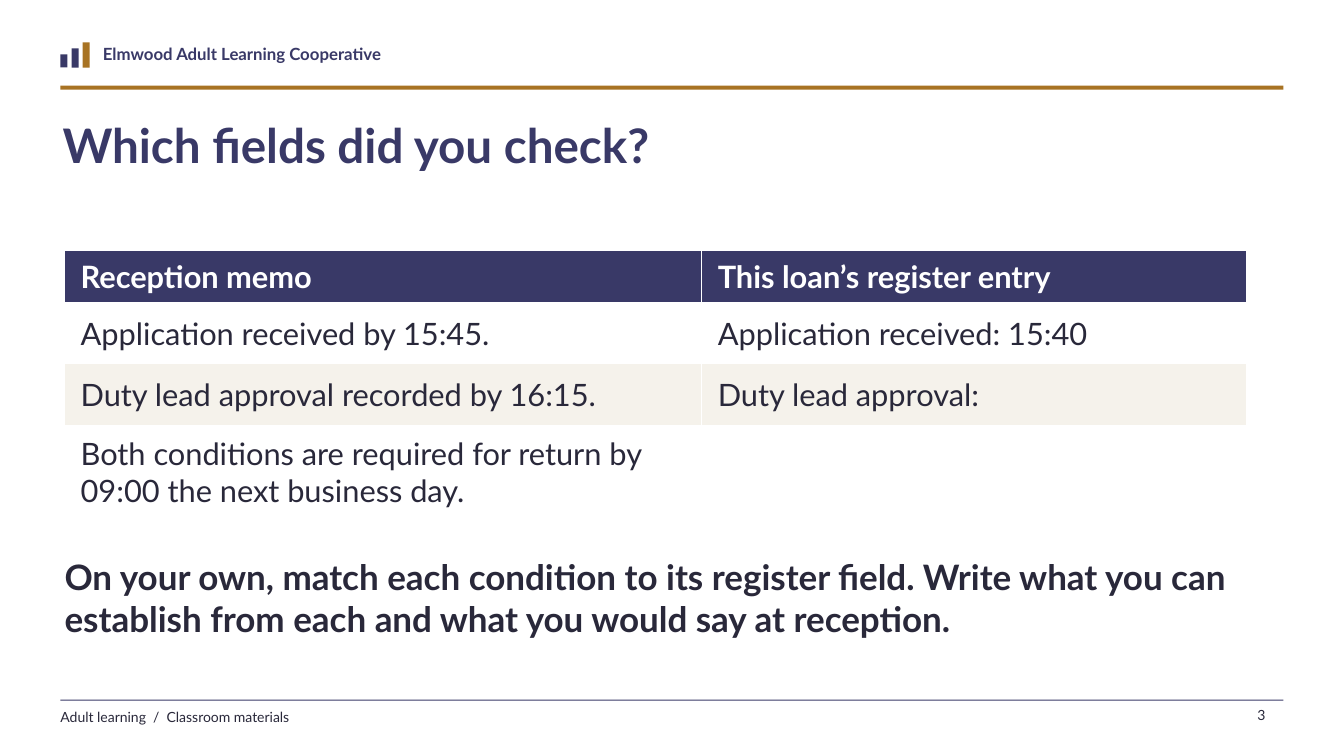
from pptx import Presentation
from pptx import util as u
from pptx.dml.color import RGBColor
from pptx.enum import shapes, text

NAVY, GOLD, INK, WHITE, CREAM = "393967", "A87323", "29283A", "FFFFFF", "F5F2EB"


def paint(target, color):
    if hasattr(target, "solid"):
        target.solid()
        target = target.fore_color
    target.rgb = RGBColor.from_string(color)


def write(frame, words, size, color, bold=False, margins=(0, 0, 0, 0), **layout):
    sides = ("margin_left", "margin_top", "margin_right", "margin_bottom")
    layout.update(zip(sides, map(u.Inches, margins)))
    for name, value in layout.items():
        setattr(frame, name, value)
    line = frame.paragraphs[0]
    line.text = words
    for name, value in {"name": "Lato", "size": u.Pt(size), "bold": bold}.items():
        setattr(line.font, name, value)
    paint(line.font.color, color)
    return line


deck = Presentation()
deck.slide_width, deck.slide_height = u.Inches(13.33), u.Inches(7.5)
slide = deck.slides.add_slide(deck.slide_layouts[5])
paint(slide.background.fill, WHITE)

bars = [(0.6 + 0.11 * i, 0.54 - 0.06 * i, 0.07, 0.13 + 0.06 * i, color)
        for i, color in enumerate((NAVY, NAVY, GOLD))]
rules = [(0.6, 0.85, 12.13, 0.04, GOLD), (0.6, 6.94, 12.13, 0.01, NAVY)]
for *place, color in bars + rules:
    block = slide.shapes.add_shape(shapes.MSO_SHAPE.RECTANGLE, *map(u.Inches, place))
    block.shadow.inherit = False
    paint(block.fill, color)
    block.line.fill.background()

heading = slide.shapes.title
place = {"left": 0.62, "top": 1.15, "width": 12, "height": 1.05}
for name, value in place.items():
    setattr(heading, name, u.Inches(value))
question = write(heading.text_frame, "Which fields did you check?", 34, NAVY, True,
                 vertical_anchor=text.MSO_ANCHOR.TOP, auto_size=text.MSO_AUTO_SIZE.NONE)
question.alignment = text.PP_ALIGN.LEFT

captions = [
    ((1.02, 0.43, 6, 0.28), "Elmwood Adult Learning Cooperative", 12, NAVY, True),
    ((0.6, 7.03, 7, 0.23), "Adult learning  /  Classroom materials", 10, INK, False),
    ((0.64, 5.51, 11.72, 0.85),
     "On your own, match each condition to its register field. Write what you can "
     "establish from each and what you would say at reception.", 25, INK, True),
]
for place, words, size, color, bold in captions:
    caption = slide.shapes.add_textbox(*map(u.Inches, place))
    write(caption.text_frame, words, size, color, bold, word_wrap=True)

page = slide.shapes.add_textbox(*map(u.Inches, (12, 7.01, 0.65, 0.31)))
number = write(page.text_frame, "3", 10, INK, margins=(0.1, 0, 0.1, 0.05), word_wrap=False)
number.alignment = text.PP_ALIGN.RIGHT

entries = [
    ("Reception memo", "This loan’s register entry"),
    ("Application received by 15:45.", "Application received: 15:40"),
    ("Duty lead approval recorded by 16:15.", "Duty lead approval:"),
    ("Both conditions are required for return by 09:00 the next business day.", ""),
]
place = map(u.Inches, (0.64, 2.48, 11.72, 2.66))
register = slide.shapes.add_table(len(entries), 2, *place).table
for column, width in zip(register.columns, (6.32, 5.4)):
    column.width = u.Inches(width)
for row, height in zip(register.rows, (0.52, 0.61, 0.61, 0.92)):
    row.height = u.Inches(height)
for r, entry in enumerate(entries):
    header = r == 0
    for c, words in enumerate(entry):
        cell = register.cell(r, c)
        paint(cell.fill, NAVY if header else (CREAM, WHITE)[r % 2])
        cell.vertical_anchor = text.MSO_ANCHOR.MIDDLE
        for side in ("left", "right"):
            setattr(cell, f"margin_{side}", u.Inches(0.16))
        for side in ("top", "bottom"):
            setattr(cell, f"margin_{side}", u.Inches(0.07))
        if words:
            write(cell.text_frame, words, 22, WHITE if header else INK, header,
                  margins=()) 

deck.save("out.pptx")
